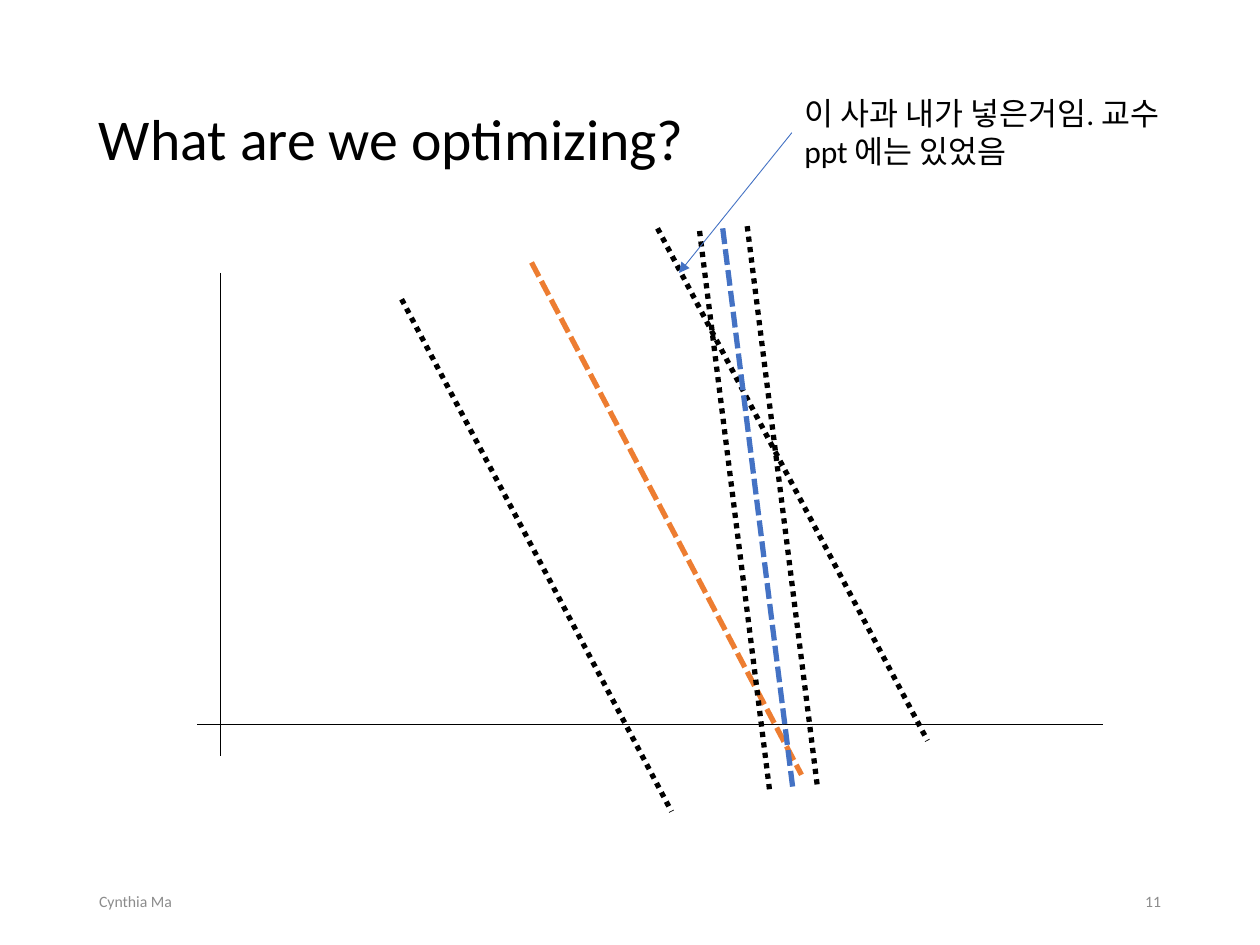
from lxml import etree
from pptx import Presentation
from pptx import util as u
from pptx.dml.color import RGBColor
from pptx.enum import dml, shapes, text
from pptx.oxml import ns

BLACK = RGBColor(0x00, 0x00, 0x00)
GRAY = RGBColor(0x8C, 0x8C, 0x8C)
ORANGE = RGBColor(0xED, 0x7D, 0x31)
BLUE = RGBColor(0x44, 0x72, 0xC4)

DASHED = dml.MSO_LINE.SQUARE_DOT  # sysDash
DOTTED = dml.MSO_LINE.ROUND_DOT  # sysDot


class SlideBuilder:
    """Holds the style and the current slide; lengths are in points."""

    font = "Calibri"

    def __init__(self, slide):
        self.slide = slide

    def text(self, words, left, top, width, height, *, size, color=BLACK,
             align=text.PP_ALIGN.LEFT, anchor=text.MSO_ANCHOR.MIDDLE,
             spacing=1.0, grow=False):
        box = self.slide.shapes.add_textbox(
            u.Pt(left), u.Pt(top), u.Pt(width), u.Pt(height))
        frame = box.text_frame
        frame.word_wrap = True
        frame.vertical_anchor = anchor
        if grow:
            frame.auto_size = text.MSO_AUTO_SIZE.SHAPE_TO_FIT_TEXT
        paragraph = frame.paragraphs[0]
        paragraph.alignment = align
        paragraph.line_spacing = spacing
        run = paragraph.add_run()
        run.text = words
        run.font.name = self.font
        run.font.size = u.Pt(size)
        run.font.color.rgb = color
        return box

    def line(self, start, end, *, color=BLACK, width=1, dash=None, arrow=False):
        connector = self.slide.shapes.add_connector(
            shapes.MSO_CONNECTOR.STRAIGHT, *map(u.Pt, (*start, *end)))
        connector.line.color.rgb = color
        connector.line.width = u.Pt(width)
        if dash:
            connector.line.dash_style = dash
        if arrow:
            etree.SubElement(connector.line._get_or_add_ln(),
                             ns.qn("a:tailEnd"), type="triangle")
        etree.SubElement(connector._element.spPr, ns.qn("a:effectLst"))
        return connector


def main():
    deck = Presentation()
    deck.slide_width, deck.slide_height = u.Pt(720), u.Pt(540)
    page = SlideBuilder(deck.slides.add_slide(deck.slide_layouts[6]))

    page.text("What are we optimizing?", 49.5, 28.75, 621, 104.4,
              size=33, spacing=0.9)
    page.text("Cynthia Ma", 49.5, 500.5, 162, 28.75, size=9, color=GRAY)
    page.text("11", 508.5, 500.5, 162, 28.75, size=9, color=GRAY,
              align=text.PP_ALIGN.RIGHT)

    # Axes
    page.line((126, 156), (126, 432))
    page.line((630, 414), (112.5, 414))

    # Each separator runs parallel to its two margins
    sloped, steep = (154.25, 292.75), (40, 319.5)
    for x, y, (run, drop), color, dash in (
        (303.75, 150, sloped, ORANGE, DASHED),
        (375.75, 130.5, sloped, BLACK, DOTTED),
        (229.5, 171, sloped, BLACK, DOTTED),
        (413, 130.5, steep, BLUE, DASHED),
        (427, 129.25, steep, BLACK, DOTTED),
        (399.75, 132, steep, BLACK, DOTTED),
    ):
        page.line((x, y), (x + run, y + drop), color=color, width=3, dash=dash)

    remark = page.text("이 사과 내가 넣은거임. 교수 ppt 에는 있었음",
                       452.5, 50.4, 242, 50.9, size=18,
                       anchor=text.MSO_ANCHOR.TOP, grow=True)
    pointer = page.line((452.5, 75.85), (388, 156), color=BLUE, width=0.5,
                        arrow=True)
    pointer.begin_connect(remark, 1)

    deck.save("out.pptx")


if __name__ == "__main__":
    main()
